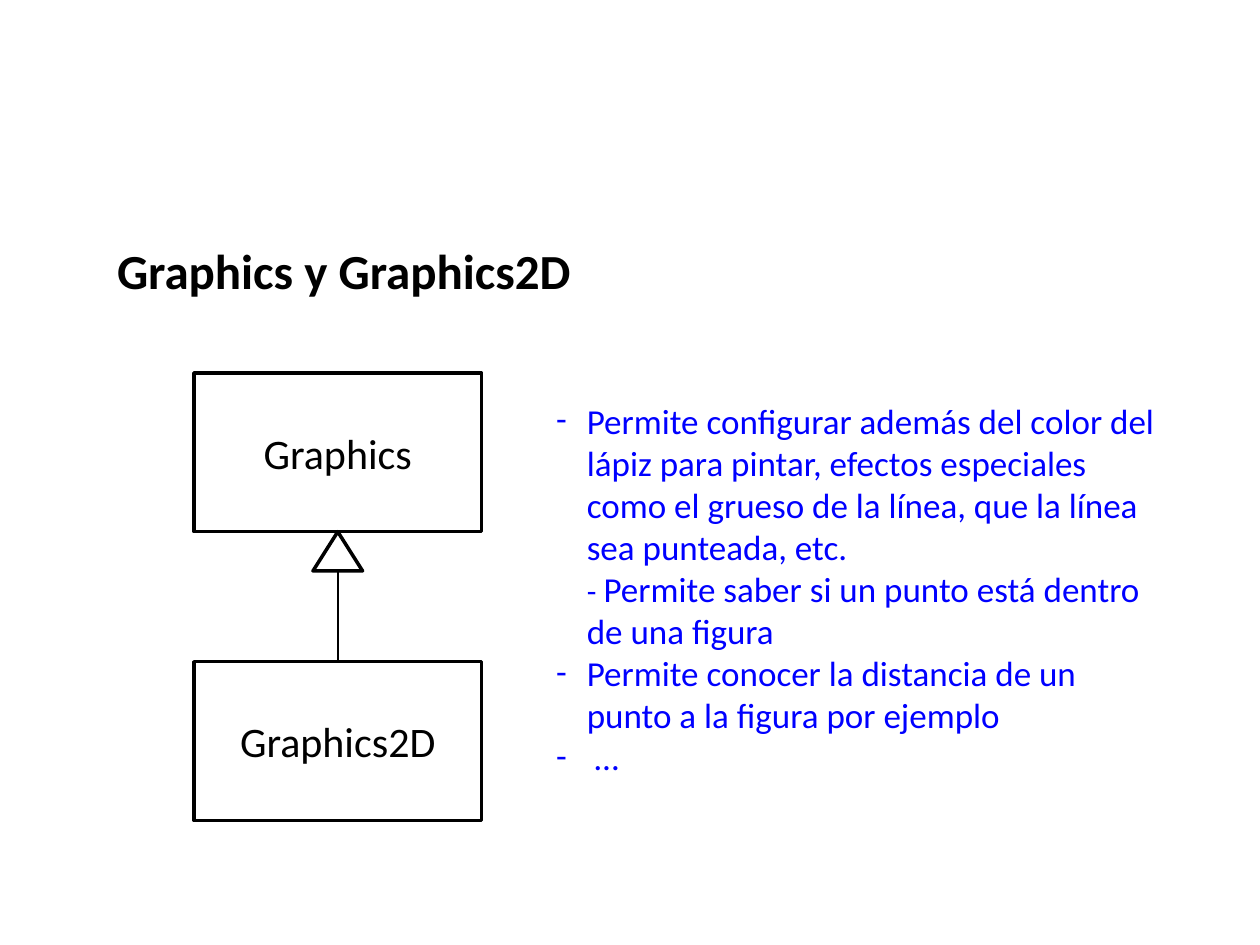
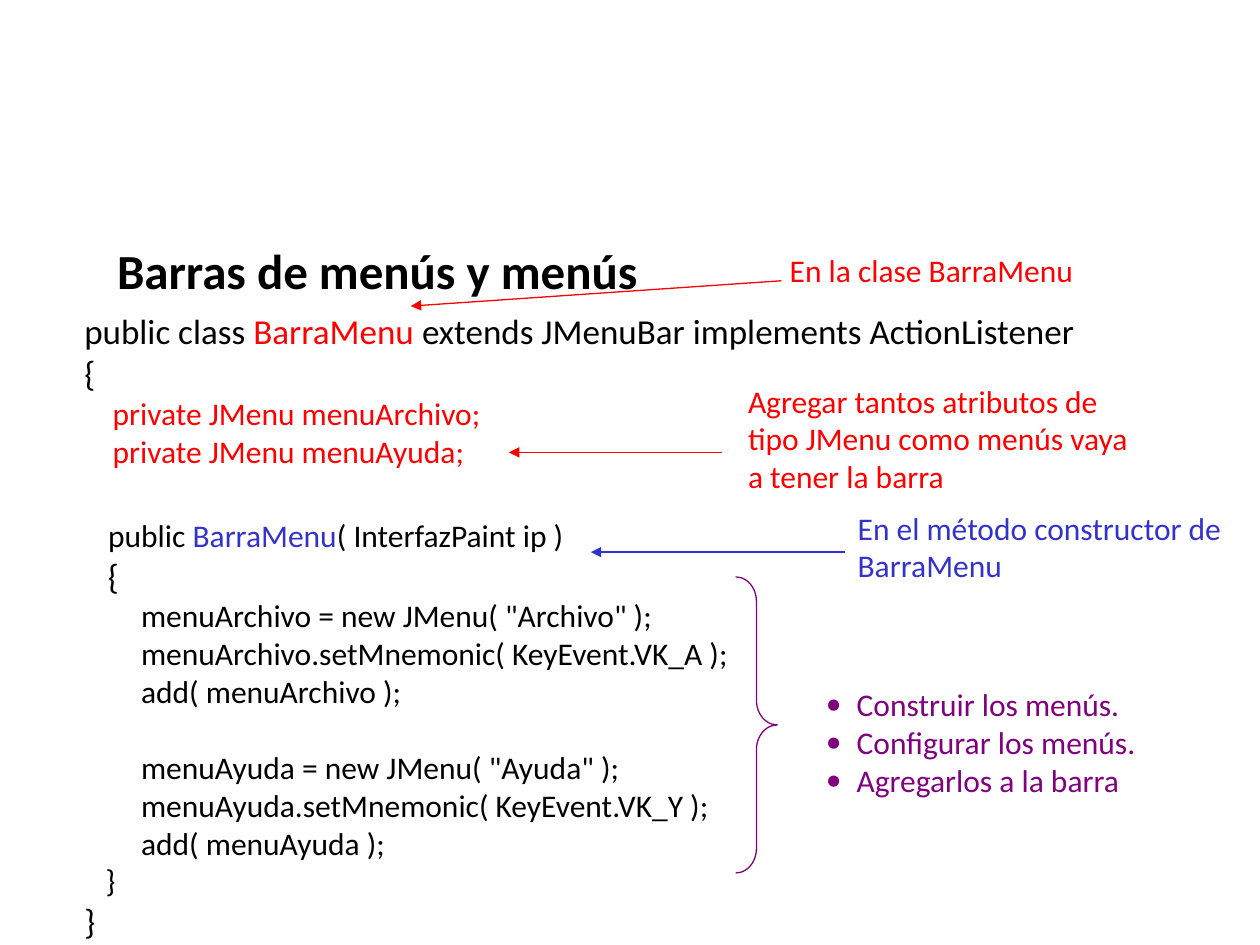
from lxml.etree import SubElement
from pptx import Presentation
from pptx.dml.color import RGBColor
from pptx.enum.shapes import MSO_CONNECTOR, MSO_SHAPE
from pptx.enum.text import MSO_ANCHOR, PP_ALIGN
from pptx.oxml.ns import qn
from pptx.util import Cm, Pt

BLACK = RGBColor(0, 0, 0)
WHITE = RGBColor(255, 255, 255)
BLUE = RGBColor(0, 0, 255)
RED = RGBColor(255, 0, 0)
INDIGO = RGBColor(0x33, 0x33, 0xCC)
PURPLE = RGBColor(0x80, 0, 0x80)
FONT = "Calibri"


def write(slide, place, lines, bold=False):
    """Text box; a line is (runs, bullet, space before), a run (text, size, colour)."""
    frame = slide.shapes.add_textbox(*map(Cm, place)).text_frame
    frame.word_wrap = True
    for i, (runs, mark, gap) in enumerate(lines):
        para = frame.paragraphs[0] if i == 0 else frame.add_paragraph()
        if mark is not None:
            props = para._p.get_or_add_pPr()
            props.set("marL", str(Cm(1.27)))
            props.set("indent", str(Cm(-0.62) if mark else 0))
            if mark:
                SubElement(props, qn("a:buFont"), typeface=FONT)
                SubElement(props, qn("a:buChar"), char=mark)
        if gap:
            para.space_before = Pt(gap)
        for text, size, color in runs:
            run = para.add_run()
            run.text = text
            run.font.name = FONT
            run.font.size = Pt(size)
            run.font.bold = bold
            run.font.color.rgb = color


def join(slide, ends, color, width, head=False):
    """Straight line, with an arrowhead at its end if asked."""
    line = slide.shapes.add_connector(MSO_CONNECTOR.STRAIGHT, *map(Cm, ends))
    line.line.color.rgb = color
    line.line.width = Pt(width)
    if head:
        SubElement(line.line._get_or_add_ln(), qn("a:tailEnd"), type="triangle")
    SubElement(line._element.spPr, qn("a:effectLst"))


deck = Presentation()
deck.slide_width = Cm(25.4)
deck.slide_height = Cm(19.05)

# Both slides with their titles
pages = []
for title in ("Graphics y Graphics2D", "Barras de menús y menús"):
    page = deck.slides.add_slide(deck.slide_layouts[6])
    write(page, (2.11, 4.72, 16, 1.45), [([(title, 28, BLACK)], None, 0)], True)
    pages.append(page)
tree, menu = pages

# Class boxes
left, top, wide, high, step = 3.91, 7.52, 5.8, 3.2, 5.82
for i, name in enumerate(("Graphics", "Graphics2D")):
    box = tree.shapes.add_shape(
        MSO_SHAPE.RECTANGLE, Cm(left), Cm(top + i * step), Cm(wide), Cm(high))
    box.shadow.inherit = False
    box.fill.background()
    box.line.color.rgb = BLACK
    box.line.width = Pt(2)
    box.text_frame.vertical_anchor = MSO_ANCHOR.MIDDLE
    para = box.text_frame.paragraphs[0]
    para.alignment = PP_ALIGN.CENTER
    run = para.add_run()
    run.text = name
    run.font.name = FONT
    run.font.size = Pt(24)
    run.font.color.rgb = BLACK

# Inheritance arrow
mid, base = left + wide / 2, top + high
join(tree, (mid, top + step, mid, base), BLACK, 1.5)
tip = tree.shapes.add_shape(
    MSO_SHAPE.FLOWCHART_EXTRACT, Cm(mid - 0.5), Cm(base), Cm(1), Cm(0.79))
tip.shadow.inherit = False
tip.fill.solid()
tip.fill.fore_color.rgb = WHITE
tip.line.color.rgb = BLACK
tip.line.width = Pt(2)

# What Graphics2D allows
write(tree, (10.31, 7.92, 13.31, 7.95), [
    ([("Permite configurar además del color del lápiz para pintar, efectos "
       "especiales como el grueso de la línea, que la línea sea punteada, etc.",
       20, BLUE)], "-", 0),
    ([("- ", 18, BLUE),
      ("Permite saber si un punto está dentro de una figura", 20, BLUE)], "", 0),
    ([("Permite conocer la distancia de un punto a la figura por ejemplo",
       20, BLUE)], "-", 0),
    ([(" …", 20, BLUE)], "-", 0),
])

# Code, with a gap the height of a line between its parts
code = [
    ([("public class ", 20, BLACK), ("BarraMenu ", 20, RED),
      ("extends JMenuBar implements ActionListener", 20, BLACK)], 0),
    ([("{", 20, BLACK)], 0),
    ([("    private JMenu menuArchivo;", 18, RED)], 0),
    ([("    private JMenu menuAyuda;", 18, RED)], 0),
    ([("   ", 20, BLACK), ("public ", 18, BLACK), ("BarraMenu", 18, INDIGO),
      ("( InterfazPaint ip )", 18, BLACK)], 24.4),
    ([("   {", 20, BLACK)], 0),
]
for name, key, gap in (("Archivo", "A", 0), ("Ayuda", "Y", 22)):
    code += [
        ([(f'        menu{name} = new JMenu( "{name}" );', 18, BLACK)], gap),
        ([(f"        menu{name}.setMnemonic( KeyEvent.VK_{key} );", 18, BLACK)], 0),
        ([(f"        add( menu{name} );", 18, BLACK)], 0),
    ]
code += [([("   }", 18, BLACK)], 0), ([("}", 20, BLACK)], 0)]
write(menu, (1.45, 6.12, 23.67, 13.08), [(runs, None, gap) for runs, gap in code])

# Remarks with arrows to the code
for text, place, ends, color in (
    ("En la clase BarraMenu", (15.67, 4.93, 6.5, 1.02),
     (15.75, 5.66, 8.28, 6.17), RED),
    ("Agregar tantos atributos de tipo JMenu como menús vaya a tener la barra",
     (14.83, 7.57, 8.2, 2.54), (14.55, 9.12, 10.26, 9.12), RED),
    ("En el método constructor de BarraMenu", (17.04, 10.13, 8.2, 1.78),
     (17.04, 11.13, 11.91, 11.13), INDIGO),
):
    write(menu, place, [([(text, 18, color)], None, 0)])
    join(menu, ends, color, 0.75, True)

# Brace and the steps it stands for
brace = menu.shapes.add_shape(
    MSO_SHAPE.RIGHT_BRACE, Cm(14.83), Cm(11.63), Cm(0.84), Cm(5.97))
brace.adjustments[0] = 0.59
brace.adjustments[1] = 0.5
brace.shadow.inherit = False
brace.fill.background()
brace.line.color.rgb = PURPLE
brace.line.width = Pt(0.75)
steps = ("Construir los menús.", "Configurar los menús.", "Agregarlos a la barra")
write(menu, (15.75, 13.69, 7.8, 2.57),
      [([(text, 18, PURPLE)], "•", 0) for text in steps])

deck.save("out.pptx")
